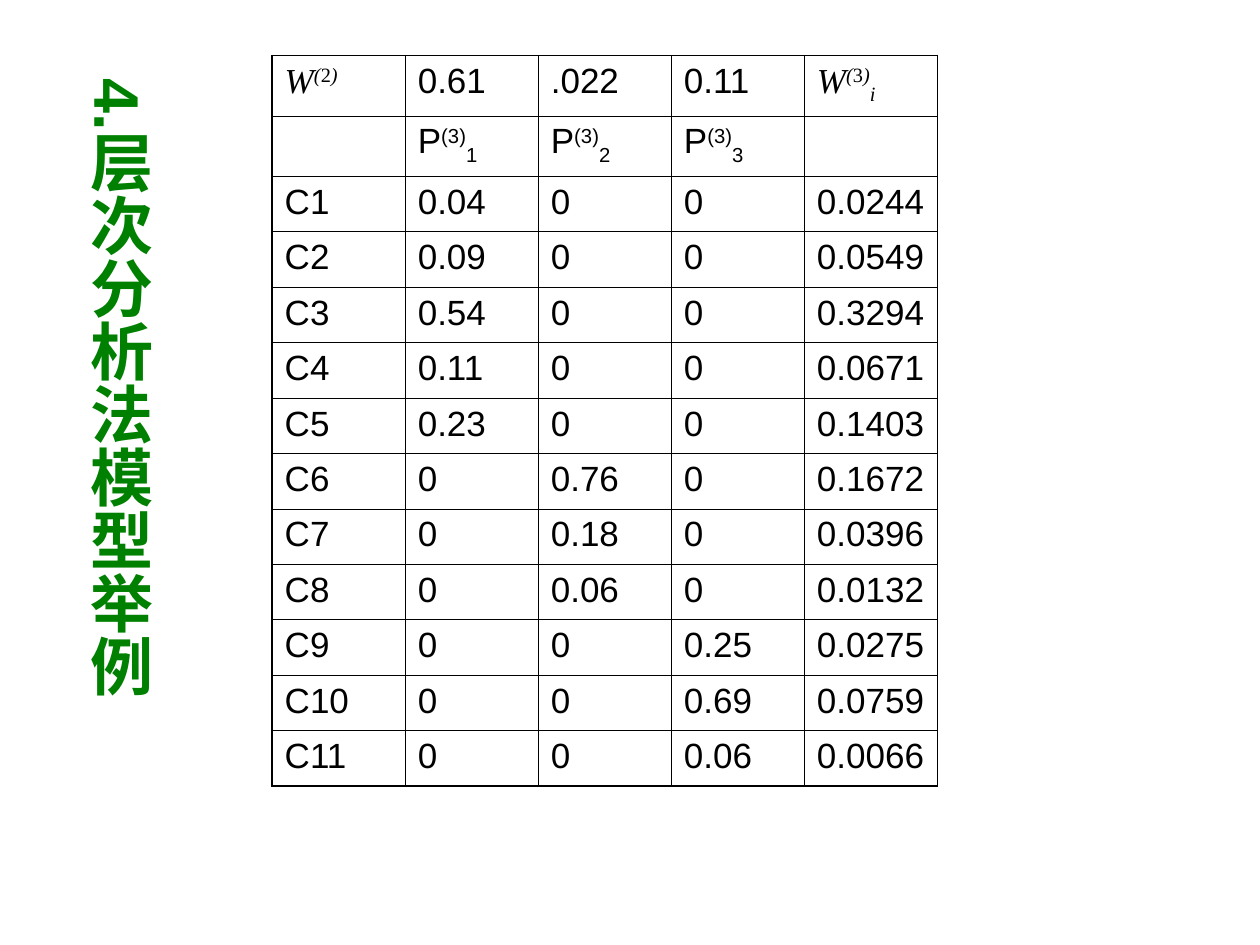
from dataclasses import dataclass

from lxml import etree
from pptx import Presentation
from pptx import util as u
from pptx.dml.color import RGBColor
from pptx.enum import text
from pptx.oxml.ns import qn


@dataclass(frozen=True)
class Theme:
    ink: str = "000000"
    heading: str = "008000"
    sans: str = "Arial"
    serif: str = "Times New Roman"
    heading_size: int = 36
    cell_size: int = 20
    grid_line: float = 0.45
    frame_line: float = 1.08


SUPERSCRIPT, SUBSCRIPT = 30, -25

# A cell is a plain string or a list of (text, baseline percent, italic) runs.
WEIGHT_LEVEL_2 = [("W", 0, True), ("(", SUPERSCRIPT, True),
                  ("2", SUPERSCRIPT, False), (")", SUPERSCRIPT, True)]
WEIGHT_LEVEL_3 = [("W", 0, True), ("(", SUPERSCRIPT, True),
                  ("3", SUPERSCRIPT, False), (")", SUPERSCRIPT, True),
                  ("i", SUBSCRIPT, True)]
MATRICES = [[("P", 0, False), ("(3)", SUPERSCRIPT, False),
             (number, SUBSCRIPT, False)] for number in "123"]

# Each criterion belongs to one matrix: (matrix index, local weight, total weight).
CRITERIA = [
    (0, "0.04", "0.0244"), (0, "0.09", "0.0549"), (0, "0.54", "0.3294"),
    (0, "0.11", "0.0671"), (0, "0.23", "0.1403"),
    (1, "0.76", "0.1672"), (1, "0.18", "0.0396"), (1, "0.06", "0.0132"),
    (2, "0.25", "0.0275"), (2, "0.69", "0.0759"), (2, "0.06", "0.0066"),
]


def weight_rows():
    rows = [[WEIGHT_LEVEL_2, "0.61", ".022", "0.11", WEIGHT_LEVEL_3],
            ["", *MATRICES, ""]]
    for number, (matrix, local, total) in enumerate(CRITERIA, start=1):
        locals_ = [local if index == matrix else "0" for index in range(3)]
        rows.append([f"C{number}", *locals_, total])
    return rows


class SlideBuilder:
    def __init__(self, slide, theme):
        self.slide = slide
        self.theme = theme

    def style(self, paragraph, face, size, color, bold=False):
        font = paragraph.font
        font.name, font.size, font.bold = face, u.Pt(size), bold
        font.color.rgb = RGBColor.from_string(color)

    def vertical_heading(self, words, left, top, width, height):
        box = self.slide.shapes.add_textbox(
            u.Inches(left), u.Inches(top), u.Inches(width), u.Inches(height))
        frame = box.text_frame
        frame.word_wrap = True
        frame.margin_left = frame.margin_right = u.Inches(0.05)
        frame.margin_top = frame.margin_bottom = u.Inches(0.1)
        frame._txBody.bodyPr.set("vert", "eaVert")
        paragraph = frame.paragraphs[0]
        paragraph.text = words
        paragraph.alignment = text.PP_ALIGN.CENTER
        self.style(paragraph, self.theme.sans, self.theme.heading_size,
                   self.theme.heading, bold=True)

    def table(self, rows, left, top, width, row_heights):
        last_row, last_column = len(rows) - 1, len(rows[0]) - 1
        table = self.slide.shapes.add_table(
            len(rows), len(rows[0]), u.Inches(left), u.Inches(top),
            u.Inches(width), u.Inches(sum(row_heights))).table
        table.first_row = table.horz_banding = False
        for r, (row, height) in enumerate(zip(rows, row_heights)):
            table.rows[r].height = u.Inches(height)
            for c, content in enumerate(row):
                cell = table.cell(r, c)
                self.fill_cell(cell, content)
                self.borders(cell, L=c == 0, R=c == last_column,
                             T=r == 0, B=r == last_row)

    def fill_cell(self, cell, content):
        cell.fill.background()
        paragraph = cell.text_frame.paragraphs[0]
        runs = [(content, 0, False)] if isinstance(content, str) else content
        face = self.theme.serif if runs[0][2] else self.theme.sans
        self.style(paragraph, face, self.theme.cell_size, self.theme.ink)
        for words, baseline, italic in runs:
            if words:
                run = paragraph.add_run()
                run.text = words
                run.font.italic = italic
                if baseline:
                    run._r.get_or_add_rPr().set("baseline", str(baseline * 1000))

    def borders(self, cell, **on_frame):
        """Draw the four sides, heavier where a side lies on the outer frame."""
        properties = cell._tc.get_or_add_tcPr()
        for index, (side, outer) in enumerate(on_frame.items()):
            points = self.theme.frame_line if outer else self.theme.grid_line
            line = etree.Element(qn(f"a:ln{side}"), w=str(u.Pt(points)))
            fill = etree.SubElement(line, qn("a:solidFill"))
            etree.SubElement(fill, qn("a:srgbClr"), val=self.theme.ink)
            properties.insert(index, line)


def main():
    presentation = Presentation()
    presentation.slide_width = u.Inches(10)
    presentation.slide_height = u.Inches(7.5)
    slide = presentation.slides.add_slide(presentation.slide_layouts[6])
    builder = SlideBuilder(slide, Theme())
    builder.table(weight_rows(), left=2.16, top=0.44, width=5.28,
                  row_heights=[0.48] * 2 + [0.44] * len(CRITERIA))
    builder.vertical_heading("4.层次分析法模型举例", left=0.5, top=0.52,
                             width=0.8, height=6.38)
    presentation.save("out.pptx")


if __name__ == "__main__":
    main()
